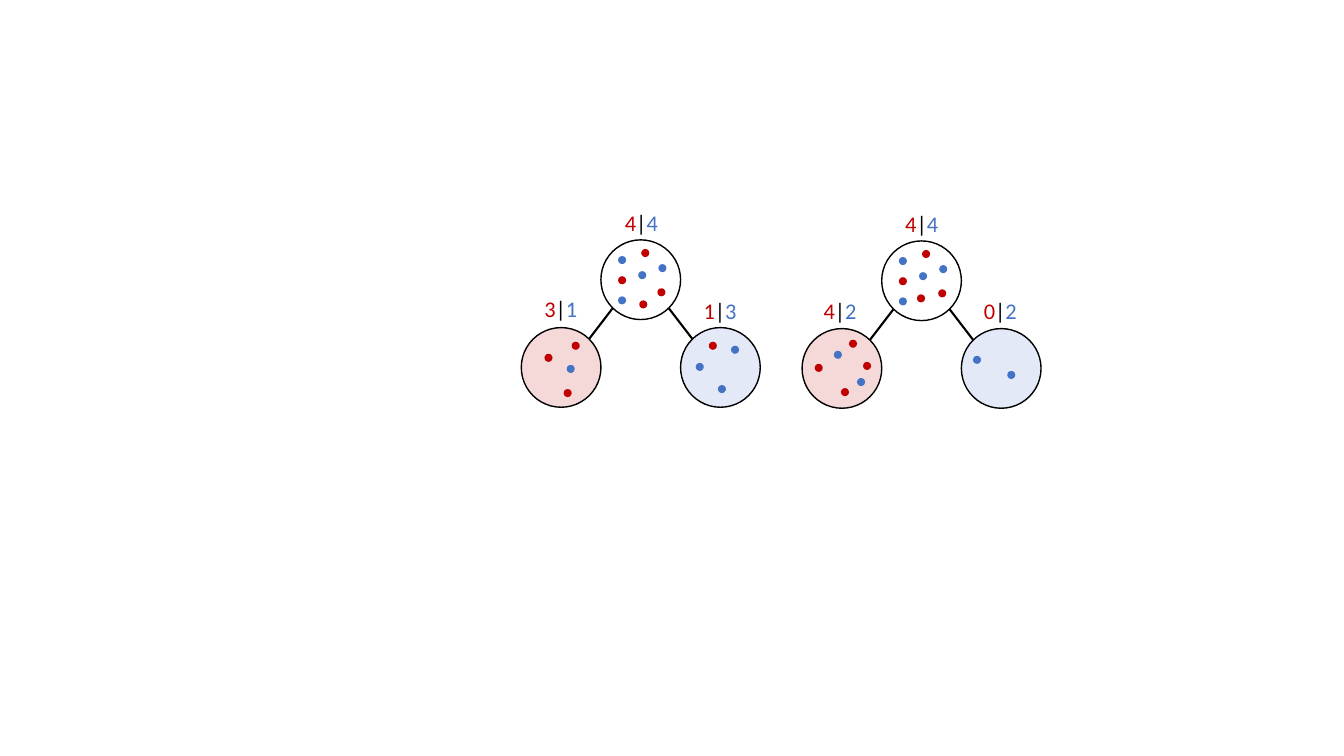
from dataclasses import dataclass

from lxml import etree
from pptx import Presentation
from pptx.dml.color import RGBColor
from pptx.enum.shapes import MSO_CONNECTOR, MSO_SHAPE
from pptx.enum.text import MSO_AUTO_SIZE
from pptx.oxml.ns import qn
from pptx.util import Inches, Pt

OVAL = MSO_SHAPE.OVAL
LINE = MSO_CONNECTOR.STRAIGHT
GROW = MSO_AUTO_SIZE.SHAPE_TO_FIT_TEXT

WIDTH, HEIGHT = 13.33, 7.5
UNIT = 0.1  # inches per grid column and row


@dataclass(frozen=True)
class Theme:
    ink: RGBColor = RGBColor(0, 0, 0)
    red: RGBColor = RGBColor(0xC0, 0, 0)
    blue: RGBColor = RGBColor(0x44, 0x72, 0xC4)
    tint: int = 15  # percent opacity
    font: str = "Calibri"
    size: int = 16
    edge: float = 1
    link: float = 1.5


def grid(*cells):
    return [Inches(cell * UNIT) for cell in cells]


def put(item, values):
    for name, value in values.items():
        setattr(item, name, value)


class Board:
    NODE = 7.9
    DOT = 0.8
    DROP = 8.7  # rows from a root down to its children

    def __init__(self, slide, theme):
        self.slide = slide
        self.theme = theme

    def disc(self, x, y, size, color=None):
        shape = self.slide.shapes.add_shape(OVAL, *grid(x, y, size, size))
        shape.shadow.inherit = False
        if color is None:
            shape.fill.background()
        else:
            shape.fill.solid()
            shape.fill.fore_color.rgb = color
        return shape

    def dot(self, x, y, color):
        self.disc(x, y, self.DOT, color).line.fill.background()

    def ring(self, x, y, tint=None):
        """Draw an outlined node with an optional pale fill."""
        shape = self.disc(x, y, self.NODE, tint)
        shape.line.color.rgb = self.theme.ink
        shape.line.width = Pt(self.theme.edge)
        if tint is not None:
            color = shape.fill._xPr.find(qn("a:solidFill"))[0]
            alpha = etree.SubElement(color, qn("a:alpha"))
            alpha.set("val", str(self.theme.tint * 1000))

    def link(self, x1, y1, x2, y2):
        line = self.slide.shapes.add_connector(LINE, *grid(x1, y1, x2, y2))
        line.line.color.rgb = self.theme.ink
        line.line.width = Pt(self.theme.link)
        etree.SubElement(line._element.spPr, qn("a:effectLst"))

    def count(self, x, y, reds, blues):
        box = self.slide.shapes.add_textbox(*grid(x, y, 5.3, 3.7))
        put(box.text_frame, {"word_wrap": False, "auto_size": GROW})
        look = {"name": self.theme.font, "size": Pt(self.theme.size)}
        parts = ((reds, self.theme.red), ("|", self.theme.ink),
                 (blues, self.theme.blue))
        for text, color in parts:
            run = box.text_frame.paragraphs[0].add_run()
            run.text = str(text)
            put(run.font, look)
            run.font.color.rgb = color

    def node(self, x, y, reds, blues, label, tint=None):
        """Draw a node, its dots and its count; offsets start at its corner."""
        self.ring(x, y, tint)
        for dots, color in ((reds, self.theme.red), (blues, self.theme.blue)):
            for dx, dy in dots:
                self.dot(x + dx, y + dy, color)
        self.count(x + label[0], y + label[1], len(reds), len(blues))

    def tree(self, x, y, root, left, right):
        """Draw a root with a red child on the left and a blue one on the right."""
        self.node(x, y, *root)
        sides = ((-1, left, self.theme.red), (1, right, self.theme.blue))
        for side, child, tint in sides:
            self.node(x + side * self.NODE, y + self.DROP, *child, tint)
            mid = x + self.NODE / 2
            self.link(mid + side * 2.8, y + 6.8, mid + side * 5.1, y + 9.8)


# Dots that both roots share
REDS = [(4, 0.9), (5.6, 4.8), (1.7, 3.6)]
BLUES = [(1.7, 1.6), (5.7, 2.4), (1.7, 5.6), (3.7, 3.1)]

# Each node: red dots, blue dots, label offset
EVEN = (
    (REDS + [(3.8, 6)], BLUES, (1.4, -3.5)),
    ([(2.3, 2.6), (5, 1.4), (4.2, 6.1)], [(4.5, 3.7)], (1.3, -3.7)),
    ([(2.8, 1.4)], [(1.5, 3.5), (3.7, 5.7), (5, 1.8)], (1.3, -3.5)),
)
PURE = (
    (REDS + [(3.5, 5.3)], BLUES, (1.35, -3.5)),
    ([(4.65, 1.1), (6.05, 3.3), (1.25, 3.5), (3.85, 5.9)],
     [(3.15, 2.2), (5.45, 4.9)], (1.15, -3.6)),
    ([], [(1.15, 2.7), (4.55, 4.2)], (1.25, -3.6)),
)


def main():
    deck = Presentation()
    put(deck, {"slide_width": Inches(WIDTH), "slide_height": Inches(HEIGHT)})
    board = Board(deck.slides.add_slide(deck.slide_layouts[6]), Theme())
    board.tree(59.6, 23.8, *EVEN)
    board.tree(87.45, 23.9, *PURE)
    deck.save("out.pptx")


if __name__ == "__main__":
    main()
